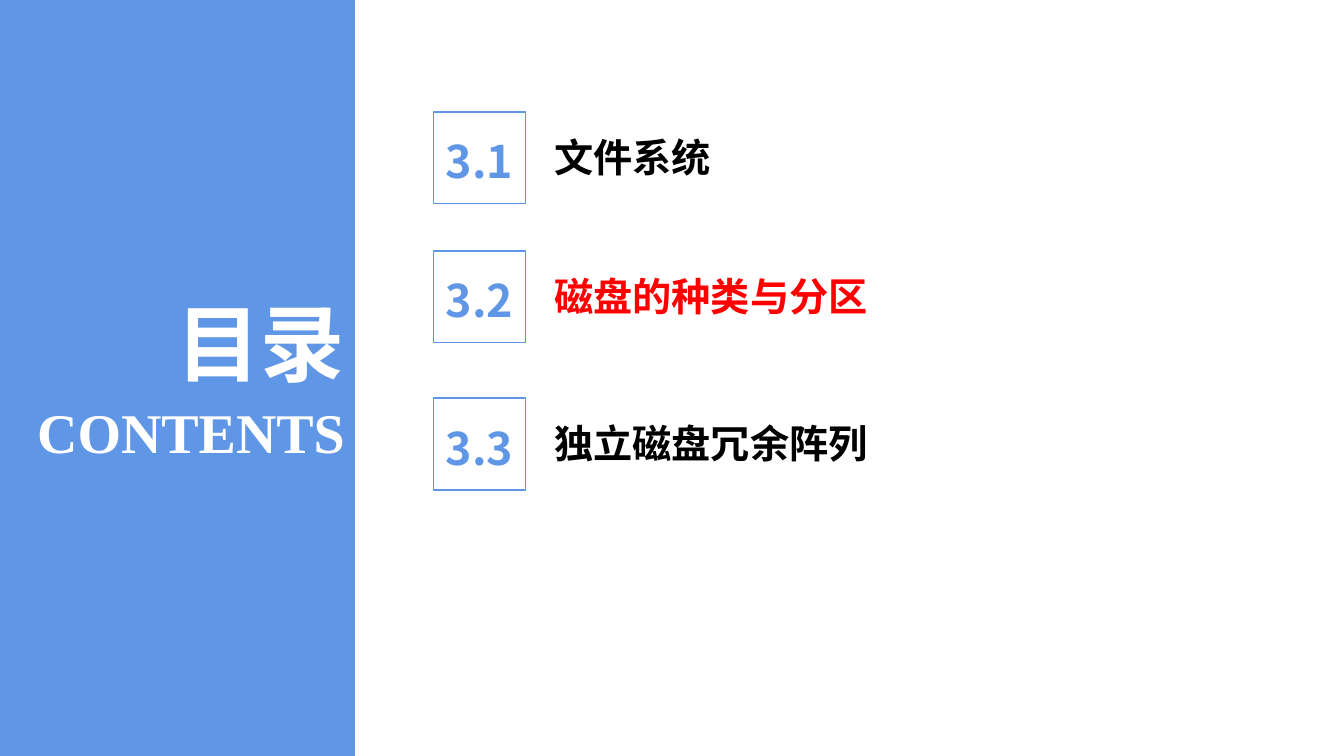
from pptx import Presentation
from pptx.dml.color import RGBColor
from pptx.enum.shapes import MSO_SHAPE
from pptx.enum.text import MSO_ANCHOR, MSO_AUTO_SIZE, PP_ALIGN
from pptx.util import Inches, Pt
from lxml.etree import SubElement
from pptx.oxml.ns import qn

BLUE, WHITE, BLACK, RED = "6096E6", "FFFFFF", "000000", "FF0000"
SANS, SERIF = "Noto Sans CJK SC", "Times New Roman"


def write(text, at, size, color, font=SANS, align=PP_ALIGN.LEFT, box=None):
    """Put bold text at (left, top, width, height) in inches, in box or a new text box."""
    left, top, width, height = map(Inches, at)
    box = box or shapes.add_textbox(left, top, width, height)
    box.left, box.top, box.width, box.height = left, top, width, height
    frame = box.text_frame
    frame.word_wrap = True
    frame.auto_size = MSO_AUTO_SIZE.NONE
    frame.vertical_anchor = MSO_ANCHOR.TOP
    line = frame.paragraphs[0]
    line.alignment = align
    run = line.add_run()
    run.text = text
    run.font.name = font
    run.font.size = Pt(size)
    run.font.bold = True
    run.font.color.rgb = RGBColor.from_string(color)
    SubElement(run._r.get_or_add_rPr(), qn("a:ea"), typeface=font)


def block(left, top, width, height):
    rect = shapes.add_shape(MSO_SHAPE.RECTANGLE, *map(Inches, (left, top, width, height)))
    rect.shadow.inherit = False
    return rect


deck = Presentation()
deck.slide_width, deck.slide_height = Inches(13.33), Inches(7.5)
slide = deck.slides.add_slide(deck.slide_layouts[5])
shapes = slide.shapes

# Side band, sent behind the title
band_w = 3.52
band = block(0, 0, band_w, 7.5)
band.fill.solid()
band.fill.fore_color.rgb = RGBColor.from_string(BLUE)
band.line.fill.background()
shapes._spTree.insert(2, band._element)

write("目录", (0.98, 2.84, band_w - 0.98, 1.11), 60, WHITE,
      align=PP_ALIGN.RIGHT, box=shapes.title)
write("CONTENTS", (0, 3.89, band_w, 0.77), 40, WHITE, font=SERIF, align=PP_ALIGN.RIGHT)

# Chapter list
side, num_x, name_x = 0.91, 4.3, 5.4
items = [
    (1.11, "3.1", "文件系统", BLACK),
    (2.49, "3.2", "磁盘的种类与分区", RED),
    (3.95, "3.3", "独立磁盘冗余阵列", BLACK),
]
for top, num, name, color in items:
    write(name, (name_x, top + 0.16, 5.93, 0.57), 28, color)
    write(num, (num_x, top + 0.17, side, 0.64), 32, BLUE, align=PP_ALIGN.CENTER)
    frame = block(num_x, top, side, side)
    frame.fill.background()
    frame.line.color.rgb = RGBColor.from_string(BLUE)
    frame.line.width = Pt(1)

deck.save("out.pptx")
